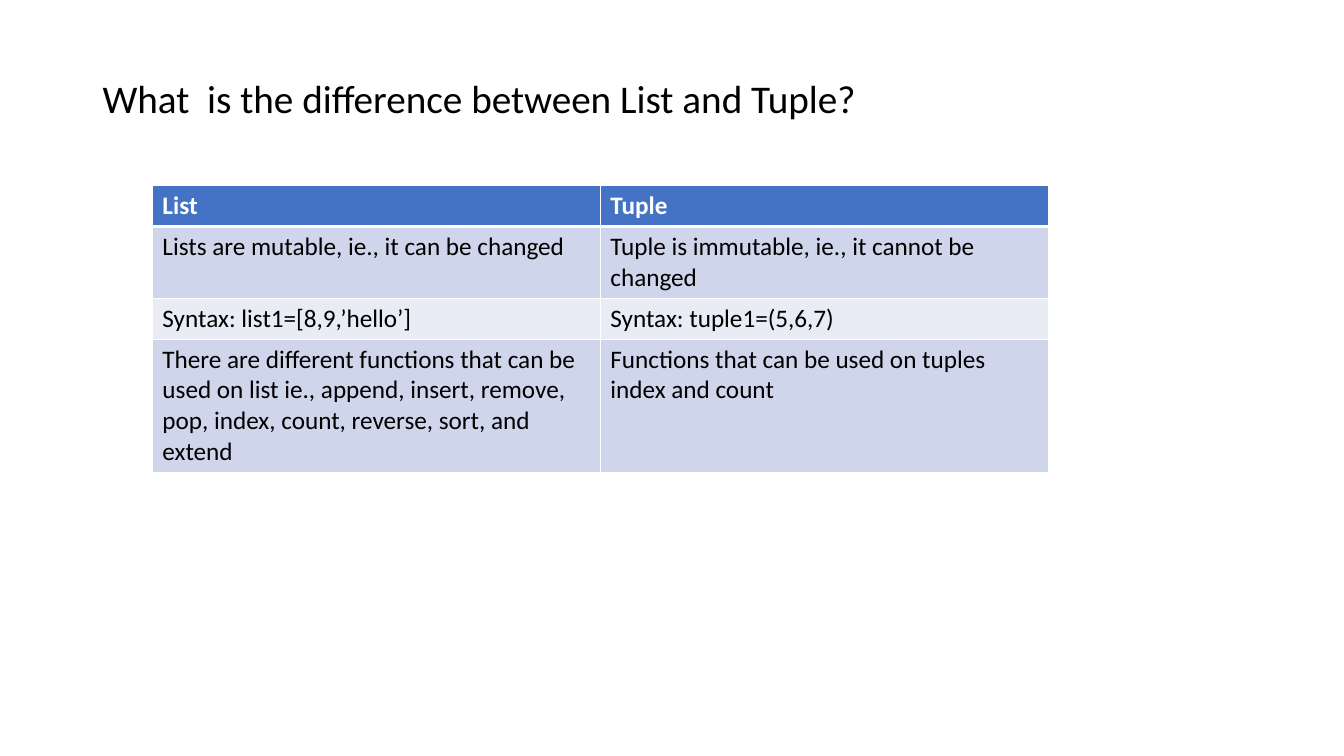
from lxml.etree import SubElement
from pptx import Presentation
from pptx.dml.color import RGBColor
from pptx.enum.text import MSO_ANCHOR, MSO_AUTO_SIZE, PP_ALIGN
from pptx.oxml.ns import qn
from pptx.util import Cm, Pt

COLORS = {
    "heading": "000000",
    "header_fill": "4472C4",
    "header_text": "FFFFFF",
    "odd_row": "CFD5EA",
    "even_row": "E9EBF5",
    "cell_text": "000000",
    "border": "FFFFFF",
}


def write_text(frame, text, size=18, color="cell_text", bold=False, line_spacing=1.0):
    frame.word_wrap = True
    paragraph = frame.paragraphs[0]
    paragraph.alignment = PP_ALIGN.LEFT
    paragraph.line_spacing = line_spacing
    run = paragraph.add_run()
    run.text = text
    run.font.name = "Calibri"
    run.font.size = Pt(size)
    run.font.bold = bold
    run.font.color.rgb = RGBColor.from_string(COLORS[color])


def add_border(cell, side, width):
    line = SubElement(cell._tc.get_or_add_tcPr(), qn(f"a:ln{side}"), w=str(Pt(width)))
    fill = SubElement(line, qn("a:solidFill"))
    SubElement(fill, qn("a:srgbClr"), val=COLORS["border"])


presentation = Presentation()
presentation.slide_width = Cm(33.87)
presentation.slide_height = Cm(19.05)
slide = presentation.slides.add_slide(presentation.slide_layouts[5])

# Question
question = slide.shapes.title
question.left, question.top = Cm(2.33), Cm(1.88)
question.width, question.height = Cm(29.21), Cm(1.6)
question.text_frame.vertical_anchor = MSO_ANCHOR.TOP
question.text_frame.auto_size = MSO_AUTO_SIZE.NONE
write_text(question.text_frame, "What  is the difference between List and Tuple?",
           size=28, color="heading", line_spacing=0.9)

# Comparison table
comparison = [
    ("List", "Tuple"),
    ("Lists are mutable, ie., it can be changed",
     "Tuple is immutable, ie., it cannot be changed"),
    ("Syntax: list1=[8,9,’hello’]", "Syntax: tuple1=(5,6,7)"),
    ("There are different functions that can be used on list ie., append, insert, "
     "remove, pop, index, count, reverse, sort, and extend",
     "Functions that can be used on tuples index and count"),
]
row_heights = [1.03, 1.8, 1.03, 3.35]
column_width = 11.29

table = slide.shapes.add_table(
    len(comparison), 2, Cm(3.84), Cm(4.68),
    Cm(2 * column_width), Cm(sum(row_heights))).table
for column in table.columns:
    column.width = Cm(column_width)

for row_index, (texts, height) in enumerate(zip(comparison, row_heights)):
    table.rows[row_index].height = Cm(height)
    is_header = row_index == 0
    if is_header:
        row_fill = "header_fill"
    else:
        row_fill = "odd_row" if row_index % 2 else "even_row"
    for column_index, text in enumerate(texts):
        cell = table.cell(row_index, column_index)
        write_text(cell.text_frame, text, bold=is_header,
                   color="header_text" if is_header else "cell_text")
        # The rule below the header is thicker than the others
        add_border(cell, "L", 1)
        add_border(cell, "R", 1)
        add_border(cell, "T", 3 if row_index == 1 else 1)
        add_border(cell, "B", 3 if is_header else 1)
        cell.fill.solid()
        cell.fill.fore_color.rgb = RGBColor.from_string(COLORS[row_fill])

presentation.save("out.pptx")
